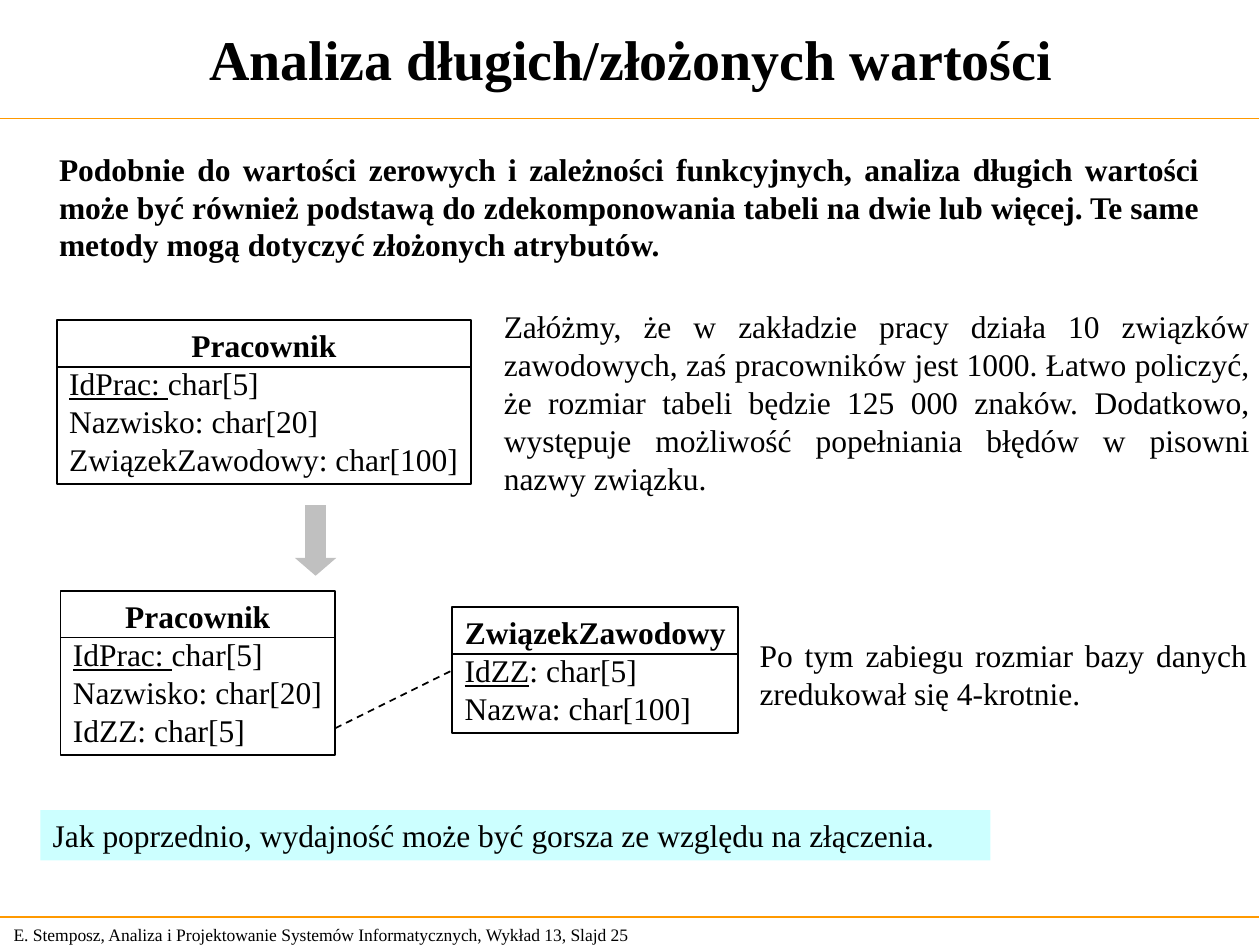
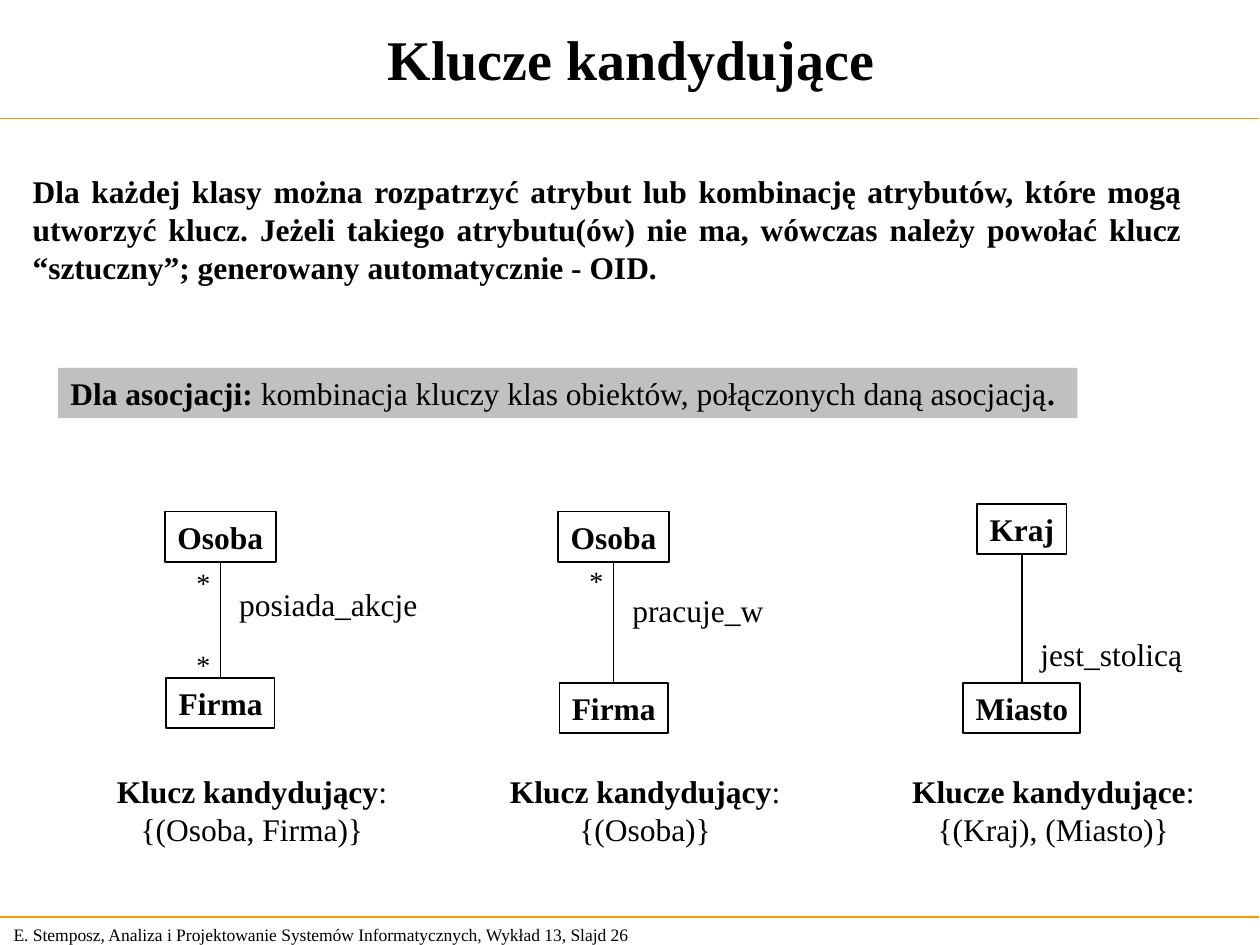
from pptx import Presentation
from pptx.dml.color import RGBColor
from pptx.enum import dml, shapes, text
from pptx.oxml.ns import qn
from pptx.util import Inches, Pt

FONT = "Times New Roman"
BLACK, WHITE, GREY = "000000", "FFFFFF", "C0C0C0"
ORANGE, CYAN = "FF9900", "CCFFFF"
LEFT, MID, FULL = text.PP_ALIGN.LEFT, text.PP_ALIGN.CENTER, text.PP_ALIGN.JUSTIFY
ROW = 0.4


def color(code):
    return RGBColor.from_string(code)


def paint(shape, fill=None, edge=None):
    shape.shadow.inherit = False
    if fill:
        shape.fill.solid()
        shape.fill.fore_color.rgb = color(fill)
    else:
        shape.fill.background()
    if edge:
        shape.line.color.rgb = color(edge)
        shape.line.width = Pt(1)
    else:
        shape.line.fill.background()


def write(slide, box, paras, size=18, bold=False, align=LEFT, wrap=True,
          anchor=text.MSO_ANCHOR.TOP, fill=None, edge=None):
    spot = [Inches(n) for n in box]
    if fill or edge:
        shape = slide.shapes.add_shape(shapes.MSO_SHAPE.RECTANGLE, *spot)
        paint(shape, fill, edge)
    else:
        shape = slide.shapes.add_textbox(*spot)
    frame = shape.text_frame
    frame.word_wrap = wrap
    frame.vertical_anchor = anchor
    for i, runs in enumerate(paras):
        para = frame.add_paragraph() if i else frame.paragraphs[0]
        para.alignment = align
        for words, style in [(runs, "")] if isinstance(runs, str) else runs:
            run = para.add_run()
            run.text = words
            font = run.font
            font.name, font.size = FONT, Pt(size)
            font.color.rgb = color(BLACK)
            font.bold = bold or "b" in style
            font.underline = "u" in style
    return shape


def link(slide, x1, y1, x2, y2, ink=BLACK, dash=False):
    line = slide.shapes.add_connector(
        shapes.MSO_CONNECTOR.STRAIGHT, *[Inches(n) for n in (x1, y1, x2, y2)])
    line.line.color.rgb = color(ink)
    line.line.width = Pt(1)
    if dash:
        line.line.dash_style = dml.MSO_LINE.DASH
    props = line._element.spPr
    props.append(props.makeelement(qn("a:effectLst"), {}))
    return line


def start(deck, title, page):
    slide = deck.slides.add_slide(deck.slide_layouts[6])
    middle = text.MSO_ANCHOR.MIDDLE
    for y in (0.94, 7.28):
        link(slide, -0.01, y, 9.99, y, ORANGE)
    write(slide, (0, 0, 10.02, 0.92), [title], size=32, bold=True,
          align=MID, anchor=middle)
    credit = ("E. Stemposz, Analiza i Projektowanie Systemów "
              f"Informatycznych, Wykład 13, Slajd {page}")
    write(slide, (0.01, 7.28, 5.24, 0.27), [credit], size=10, anchor=middle)
    return slide


def entity(slide, box, name, fields):
    x, y, w, h = box
    shape = write(slide, box, [[(name, "b")]] + fields, edge=BLACK, wrap=False)
    shape.text_frame.paragraphs[0].alignment = MID
    link(slide, x, y + 0.37, x + w, y + 0.37)
    return shape


def split(slide, x, y):
    key = [("IdPrac: ", "u"), ("char[5]", "")]
    last = "Nazwisko: char[20]"
    entity(slide, (x, y, 3.29, 1.3), "Pracownik",
           [key, last, "ZwiązekZawodowy: char[100]"])
    arrow = slide.shapes.add_shape(
        shapes.MSO_SHAPE.DOWN_ARROW, Inches(x + 1.89), Inches(y + 1.47),
        Inches(0.33), Inches(0.56))
    arrow.adjustments[1] = 0.43
    paint(arrow, GREY)
    entity(slide, (x + 0.03, y + 2.15, 2.18, 1.3), "Pracownik",
           [key, last, "IdZZ: char[5]"])
    union = entity(slide, (x + 3.14, y + 2.28, 2.27, 1), "ZwiązekZawodowy",
                   [[("IdZZ", "u"), (": char[5]", "")], "Nazwa: char[100]"])
    line = link(slide, x + 2.21, y + 3.24, x + 3.14, y + 2.78, dash=True)
    line.end_connect(union, 1)


def values(deck):
    slide = start(deck, "Analiza długich/złożonych wartości", 25)
    write(slide, (0.37, 1.14, 9.25, 1), [
        "Podobnie do wartości zerowych i zależności funkcyjnych, analiza "
        "długich wartości może być również podstawą do zdekomponowania tabeli "
        "na dwie lub więcej. Te same metody mogą dotyczyć złożonych atrybutów."
    ], bold=True, align=FULL)
    split(slide, 0.45, 2.54)
    write(slide, (3.9, 2.39, 6.12, 1.6), [
        "Załóżmy, że w zakładzie pracy działa 10 związków zawodowych, zaś "
        "pracowników jest 1000. Łatwo policzyć, że rozmiar tabeli będzie "
        "125 000 znaków. Dodatkowo, występuje możliwość popełniania błędów "
        "w pisowni nazwy związku."], align=FULL)
    write(slide, (5.93, 5, 4.07, 0.7), [
        "Po tym zabiegu rozmiar bazy danych zredukował się 4-krotnie."],
        align=FULL)
    write(slide, (0.32, 6.43, 7.54, ROW), [
        "Jak poprzednio, wydajność może być gorsza ze względu na złączenia."],
        fill=CYAN)


def pair(slide, x, top, low, role, stars, head, keys):
    ends = []
    for name, width, y in (top, low):
        ends.append(write(slide, (x - width / 2, y, width, ROW), [name],
                          bold=True, wrap=False, fill=WHITE, edge=BLACK))
    line = link(slide, x, top[2] + ROW, x, low[2])
    line.begin_connect(ends[0], 2)
    line.end_connect(ends[1], 0)
    name, y = role
    write(slide, (x + 0.05, y, 1.8, ROW), [name])
    for y in stars:
        write(slide, (x - 0.29, y, 0.31, 0.37), ["*"], size=16, wrap=False)
    write(slide, (x - 0.97, 6.08, 2.44, 0.7), [[(head, "b"), (":", "")], keys],
          align=MID, wrap=False)


def keys(deck):
    slide = start(deck, "Klucze kandydujące", 26)
    write(slide, (0.16, 1.32, 9.32, 1), [
        "Dla każdej klasy można rozpatrzyć atrybut lub kombinację atrybutów, "
        "które mogą utworzyć klucz. Jeżeli takiego atrybutu(ów) nie ma, "
        "wówczas należy powołać klucz “sztuczny”; generowany automatycznie "
        "- OID."], bold=True, align=FULL)
    write(slide, (0.46, 2.92, 8.09, ROW), [[
        ("Dla asocjacji: ", "b"),
        ("kombinacja kluczy klas obiektów, połączonych daną asocjacją", ""),
        (".", "b")]], wrap=False, fill=GREY)
    person, single = ("Osoba", 0.88, 4.06), "Klucz kandydujący"
    pair(slide, 1.75, person, ("Firma", 0.86, 5.38),
         ("posiada_akcje", 4.59), (4.44, 5.09), single, "{(Osoba, Firma)}")
    pair(slide, 4.87, person, ("Firma", 0.86, 5.42),
         ("pracuje_w", 4.64), (4.42,), single, "{(Osoba)}")
    pair(slide, 8.11, ("Kraj", 0.71, 4), ("Miasto", 0.93, 5.42),
         ("jest_stolicą", 4.99), (), "Klucze kandydujące",
         "{(Kraj), (Miasto)}")


def main():
    deck = Presentation()
    deck.slide_width, deck.slide_height = Inches(10), Inches(7.5)
    values(deck)
    keys(deck)
    deck.save("out.pptx")


if __name__ == "__main__":
    main()
